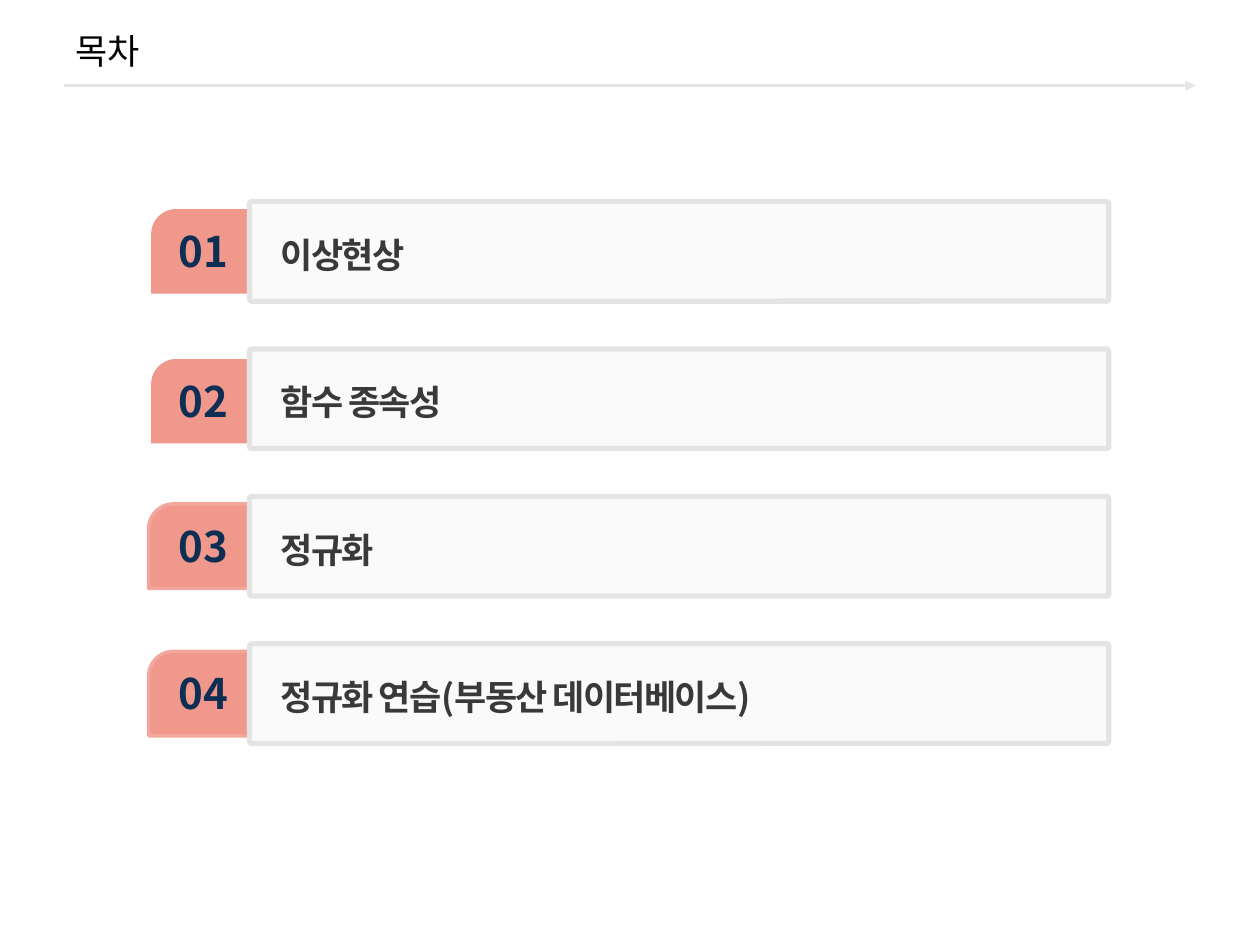
import dataclasses

import lxml.etree
import pptx
import pptx.dml.color
import pptx.enum.shapes
import pptx.enum.text
import pptx.oxml.ns
import pptx.util

Inches = pptx.util.Inches
Pt = pptx.util.Pt
SHAPE = pptx.enum.shapes.MSO_SHAPE
ALIGN = pptx.enum.text.PP_ALIGN
ANCHOR = pptx.enum.text.MSO_ANCHOR
qn = pptx.oxml.ns.qn

FONT = "Noto Sans CJK KR"
COLORS = {
    "title": "000000",
    "rule": "E6E6E6",
    "tab": "F0988C",
    "tab_line": "F2A69C",
    "number": "0F2E53",
    "card": "F2F2F2",
    "card_line": "E4E4E4",
    "label": "393939",
}
CARD_TOP = 1.6
CARD_PITCH = 1.17


@dataclasses.dataclass
class Entry:
    label: str
    tab_left: float
    tab_top: float
    outlined: bool = False


ENTRIES = [
    Entry("이상현상", 1.2, 1.66),
    Entry("함수 종속성", 1.2, 2.85),
    Entry("정규화", 1.18, 4.0, True),
    Entry("정규화 연습(부동산 데이터베이스)", 1.18, 5.17, True),
]


def rgb(name: str) -> pptx.dml.color.RGBColor:
    return pptx.dml.color.RGBColor.from_string(COLORS[name])


def set_font(p, size: float, color: str, bold: bool = False) -> None:
    p.font.size = Pt(size)
    p.font.bold = bold
    p.font.color.rgb = rgb(color)
    p.font.name = FONT
    for tag in ("a:ea", "a:cs"):
        lxml.etree.SubElement(p.font._element, qn(tag), typeface=FONT)


def add_title(slide, text: str) -> None:
    sp = slide.shapes.title
    sp.left, sp.top, sp.width, sp.height = map(Inches, (0.5, 0.08, 9, 0.64))
    tf = sp.text_frame
    tf.text = text
    tf.vertical_anchor = ANCHOR.MIDDLE
    p = tf.paragraphs[0]
    p.alignment = ALIGN.LEFT
    set_font(p, 20, "title")


def add_rule(slide) -> None:
    line = slide.shapes.add_connector(
        pptx.enum.shapes.MSO_CONNECTOR.STRAIGHT,
        Inches(0.51), Inches(0.68), Inches(9.49), Inches(0.68))
    line.line.color.rgb = rgb("rule")
    line.line.width = Pt(1.5)
    lxml.etree.SubElement(line.line._get_or_add_ln(), qn("a:tailEnd"), type="triangle")
    lxml.etree.SubElement(line._element.spPr, qn("a:effectLst"))


def add_box(slide, kind, left: float, top: float, width: float, height: float,
            adjustments: tuple, fill: str, line: str = "", weight: float = 0):
    sp = slide.shapes.add_shape(kind, Inches(left), Inches(top), Inches(width), Inches(height))
    sp.shadow.inherit = False
    for i, value in enumerate(adjustments):
        sp.adjustments[i] = value
    sp.fill.solid()
    sp.fill.fore_color.rgb = rgb(fill)
    if line:
        sp.line.color.rgb = rgb(line)
        sp.line.width = Pt(weight)
    else:
        sp.line.fill.background()
    return sp


def add_text(slide, text: str, left: float, top: float, width: float, height: float,
             size: float, color: str, wrap: bool = True):
    sp = slide.shapes.add_textbox(Inches(left), Inches(top), Inches(width), Inches(height))
    tf = sp.text_frame
    tf.word_wrap = wrap
    tf.auto_size = pptx.enum.text.MSO_AUTO_SIZE.SHAPE_TO_FIT_TEXT
    p = tf.paragraphs[0]
    r = p.add_run()
    r.text = text
    set_font(p, size, color, True)
    return p


def add_entry(slide, index: int, entry: Entry) -> None:
    add_box(slide, SHAPE.SNIP_ROUND_RECTANGLE, entry.tab_left, entry.tab_top, 0.8, 0.67,
            (0.296, 0), "tab", "tab_line" if entry.outlined else "", 2)
    p = add_text(slide, f"{index + 1:02d}", 1.32, entry.tab_top + 0.08, 0.59, 0.5,
                 24, "number", wrap=False)
    p.alignment = ALIGN.CENTER

    top = CARD_TOP + index * CARD_PITCH
    card = add_box(slide, SHAPE.ROUNDED_RECTANGLE, 1.98, top, 6.82, 0.79,
                   (0.023,), "card", "card_line", 3)
    fill_color = card._element.spPr.find(qn("a:solidFill"))[0]
    lxml.etree.SubElement(fill_color, qn("a:alpha"), val="33000")
    p = add_text(slide, entry.label, 2.13, top + 0.17, 5.28, 0.44, 20, "label")
    p.line_spacing = 1.1
    p.space_before = Pt(18)
    p.space_after = Pt(3)
    p.runs[0].font._element.set("spc", "-100")


def main() -> None:
    prs = pptx.Presentation()
    prs.slide_width = Inches(10)
    prs.slide_height = Inches(7.5)
    slide = prs.slides.add_slide(prs.slide_layouts[5])
    add_rule(slide)
    add_title(slide, "목차")
    for index, entry in enumerate(ENTRIES):
        add_entry(slide, index, entry)
    prs.save("out.pptx")


if __name__ == "__main__":
    main()
